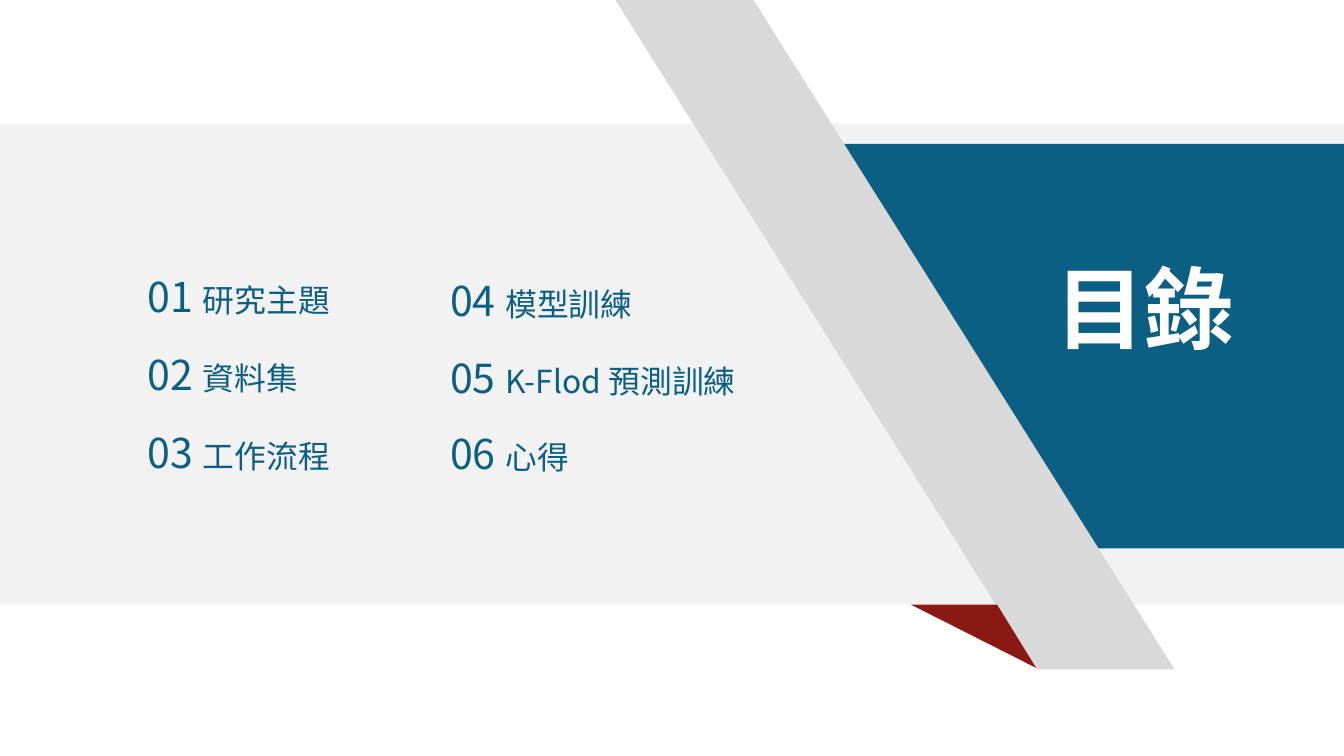
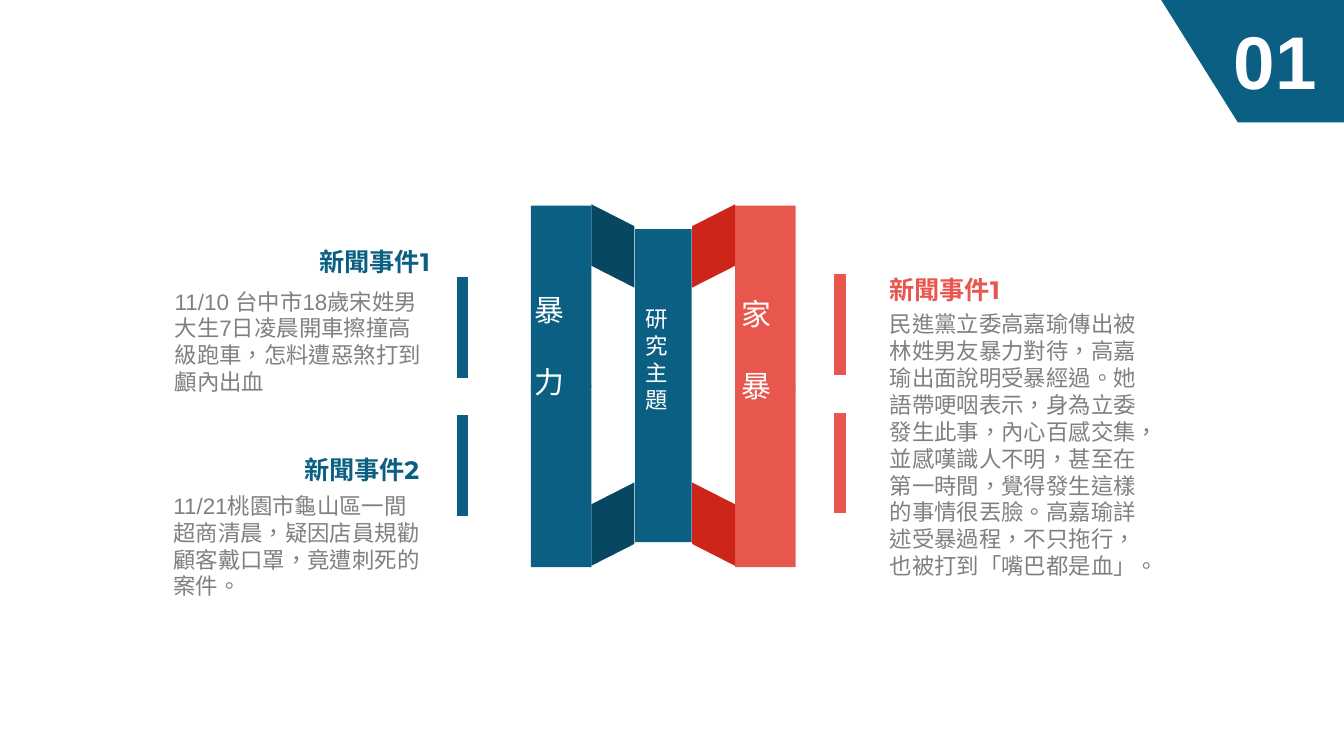
from lxml.etree import SubElement as Sub
from pptx import Presentation
from pptx.dml.color import RGBColor as RGB
from pptx.enum.lang import MSO_LANGUAGE_ID as Lang
from pptx.enum.shapes import MSO_CONNECTOR as Link, MSO_SHAPE as Kind
from pptx.enum.text import MSO_ANCHOR as Anchor, MSO_AUTO_SIZE as Auto, PP_ALIGN as Align
from pptx.oxml.ns import qn
from pptx.util import Pt

SCALE = 9144
WIDE = 1000
BLUE = RGB(0x0B, 0x5F, 0x83)
NAVY = RGB(0x08, 0x47, 0x62)
RED = RGB(0xE8, 0x57, 0x4E)
BRICK = RGB(0xCE, 0x25, 0x1B)
WINE = RGB(0x89, 0x19, 0x12)
PALE = RGB(0xF2, 0xF2, 0xF2)
SILVER = RGB(0xD9, 0xD9, 0xD9)
GRAY = RGB(0x80, 0x80, 0x80)
WHITE = RGB(0xFF, 0xFF, 0xFF)
SANS, HEAD, HAN = "Arial", "Montserrat", "Noto Sans CJK SC"
TWO_COL, TITLE_ONLY = 3, 5


def px(n):
    return n * SCALE


class Deck:
    def __init__(self):
        self.prs = Presentation()
        self.prs.slide_width = px(WIDE)
        self.prs.slide_height = px(WIDE) * 9 // 16

    def page(self, layout):
        self.slide = self.prs.slides.add_slide(self.prs.slide_layouts[layout])
        self.items = self.slide.shapes

    def place(self, item, x, y, w, h):
        item.left, item.top, item.width, item.height = map(px, (x, y, w, h))
        item.element.getparent().append(item.element)

    def frame(self, item, side=0, edge=0, wrap=True):
        frame = item.text_frame
        frame.auto_size = Auto.NONE
        frame.word_wrap = wrap
        frame.vertical_anchor = Anchor.TOP
        frame.margin_left = frame.margin_right = px(side)
        frame.margin_top = frame.margin_bottom = px(edge)
        return frame

    def style(self, para, size, font, color, bold=False, align=Align.LEFT):
        para.alignment = align
        para.font.size, para.font.name = Pt(size), font
        para.font.bold, para.font.color.rgb = bold, color
        para.font.language_id = Lang.TRADITIONAL_CHINESE

    def title(self, text, x, y, w, h, size):
        item = self.items.title
        self.place(item, x, y, w, h)
        frame = self.frame(item, 10, 5, False)
        frame.text = text
        self.style(frame.paragraphs[0], size, SANS, WHITE, True)

    def agenda(self, slot, x, y, pitch, first, names):
        item = self.slide.placeholders[slot]
        self.place(item, x, y, 240, 180)
        frame = self.frame(item)
        for i, name in enumerate(names):
            para = frame.paragraphs[0] if i == 0 else frame.add_paragraph()
            num, label = para.add_run(), para.add_run()
            num.text, label.text = f"{first + i:02}\t", name
            num.font.size = Pt(22)
            props = para._p.get_or_add_pPr()
            props.set("marL", str(px(41)))
            props.set("indent", str(px(-41)))
            Sub(props, qn("a:buNone"))
            para.line_spacing, para.space_before = Pt(pitch), Pt(0)
            self.style(para, 17, HAN, BLUE)

    def text(self, text, x, y, w, h, size, font, color, bold=False, align=Align.LEFT, stack=False):
        item = self.items.add_textbox(*map(px, (x, y, w, h)))
        frame = self.frame(item)
        frame.text = text
        self.style(frame.paragraphs[0], size, font, color, bold, align)
        if stack:
            next(item.element.iter(qn("a:bodyPr"))).set("vert", "wordArtVert")

    def paint(self, item, fill):
        item.shadow.inherit = False
        item.fill.solid()
        item.fill.fore_color.rgb = fill
        item.line.fill.background()

    def shape(self, kind, x, y, w, h, fill, adj=None, turn=0, flip=False):
        item = self.items.add_shape(kind, *map(px, (x, y, w, h)))
        self.paint(item, fill)
        item.rotation = turn
        if adj is not None:
            item.adjustments[0] = adj
        if flip:
            next(item.element.iter(qn("a:xfrm"))).set("flipH", "1")

    def poly(self, points, fill):
        path = self.items.build_freeform(*points[0], scale=SCALE)
        path.add_line_segments(points[1:])
        self.paint(path.convert_to_shape(), fill)

    def bar(self, x, y, color):
        line = self.items.add_connector(Link.STRAIGHT, *map(px, (x, y, x, y + 75)))
        line.line.color.rgb, line.line.width = color, Pt(6)
        Sub(line.element.spPr, qn("a:effectLst"))

    def news(self, head, body, x, y, drop, h, color, align=Align.LEFT, shift=0):
        self.text(body, x, y + drop, 190, h, 12, SANS, GRAY)
        self.text(head, x + shift, y, 190, 23, 13.5, HEAD, color, True, align)


def contents(deck):
    deck.page(TWO_COL)
    deck.shape(Kind.RECTANGLE, 0, 92, WIDE, 358, PALE)
    deck.poly([(550, 107), (1002, 107), (1002, 408), (738, 408)], BLUE)
    deck.shape(Kind.PARALLELOGRAM, 458, 0, 416, 498, SILVER, 0.753, flip=True)
    deck.poly([(771, 497), (742, 450), (678, 450)], WINE)
    deck.title("目錄", 775, 183, 155, 91, 48)
    deck.agenda(1, 110, 180, 42, 1, ["研究主題", "資料集", "工作流程"])
    deck.agenda(2, 335, 185, 41, 4, ["模型訓練", "K-Flod 預測訓練", "心得"])


def topic(deck):
    deck.page(TITLE_ONLY)
    for x, fold, face, shade, left in [(502, 500, RED, BRICK, False), (350, 425, BLUE, NAVY, True)]:
        for y in (198, 332):
            deck.shape(Kind.RECTANGLE, x, y, 135, 45, face, turn=90)
        for y, flip in [(167, not left), (374, left)]:
            deck.shape(Kind.PARALLELOGRAM, fold, y, 62, 32, shade, 0.509, 90, flip)
    deck.shape(Kind.PENTAGON, 377, 266, 233, 42, BLUE, 0, 270, True)
    for x, y, color in [(625, 204, RED), (344, 206, BLUE)]:
        for i in range(2):
            deck.bar(x, y + 103 * i, color)
    deck.news("新聞事件1", "民進黨立委高嘉瑜傳出被林姓男友暴力對待，高嘉瑜出面說明受暴經過。"
              "她語帶哽咽表示，身為立委發生此事，內心百感交集，並感嘆識人不明，"
              "甚至在第一時間，覺得發生這樣的事情很丟臉。高嘉瑜詳述受暴過程，"
              "不只拖行，也被打到「嘴巴都是血」。", 662, 204, 27, 202, RED)
    deck.news("新聞事件1", "11/10 台中市18歲宋姓男大生7日凌晨開車擦撞高級跑車，怎料遭惡煞打到顱內出血",
              130, 183, 31, 81, BLUE, Align.RIGHT)
    deck.news("新聞事件2", "11/21桃園市龜山區一間超商清晨，疑因店員規勸顧客戴口罩，竟遭刺死的案件。",
              129, 338, 28, 81, BLUE, Align.RIGHT, -7)
    for text, x, y, w, h, size, font in [
        ("研究主題", 480, 227, 21, 180, 12, SANS),
        ("暴 力", 398, 217, 36, 118, 16, HEAD),
        ("家 暴", 552, 220, 40, 118, 16, SANS),
    ]:
        deck.text(text, x, y, w, h, size, font, WHITE, stack=True)
    deck.poly([(864, 0), (WIDE, 0), (WIDE, 91), (921, 91)], BLUE)
    deck.title("01", 908, 6, 83, 77, 40)


def main():
    deck = Deck()
    contents(deck)
    topic(deck)
    deck.prs.save("out.pptx")


if __name__ == "__main__":
    main()
